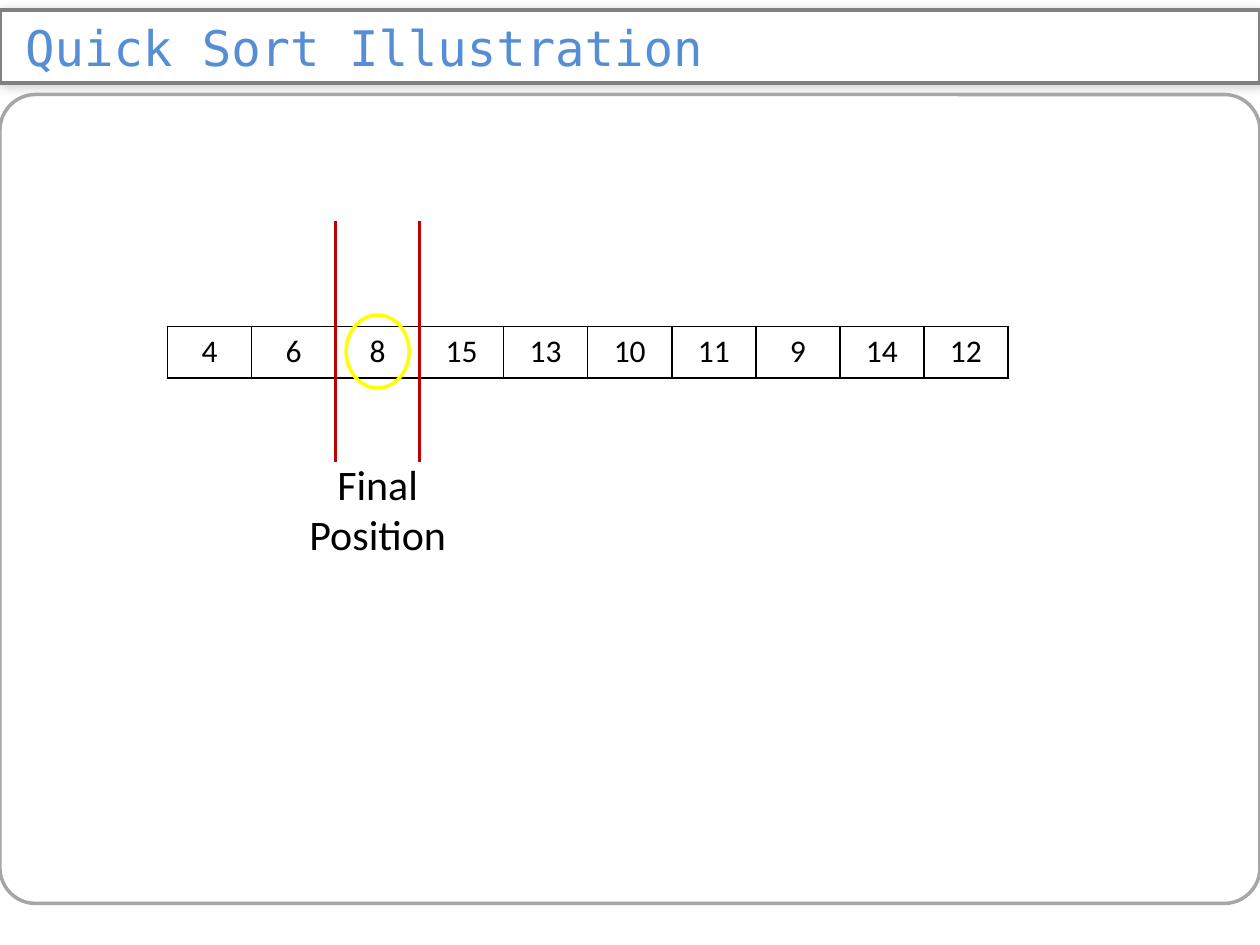
import pptx
import pptx.dml.color
import pptx.enum.shapes
import pptx.enum.text
import pptx.oxml
import pptx.oxml.ns
import pptx.util
from pptx.util import Inches

COLORS = {
    "white": "FFFFFF", "black": "000000", "title": "558ED5",
    "banner_line": "808080", "frame_line": "A6A6A6",
    "pivot": "FFFF00", "partition": "C00000",
}
VALUES = [4, 6, 8, 15, 13, 10, 11, 9, 14, 12]
PIVOT = VALUES.index(8)
ALIGN = pptx.enum.text.PP_ALIGN
ANCHOR = pptx.enum.text.MSO_ANCHOR
SHAPE = pptx.enum.shapes.MSO_SHAPE
NS = pptx.oxml.ns.nsdecls("a")


def rgb(name):
    return pptx.dml.color.RGBColor.from_string(COLORS[name])


def apply_format(target, values):
    for name, value in values.items():
        setattr(target, name, value)


def add_xml(parent, xml):
    parent.append(pptx.oxml.parse_xml(xml))


def style_line(item, color, width):
    item.line.color.rgb = rgb(color)
    item.line.width = pptx.util.Pt(width)


def style_text(paragraph, size, color="black", font="Calibri", align=ALIGN.CENTER):
    paragraph.alignment = align
    apply_format(paragraph.font, {"size": pptx.util.Pt(size), "name": font})
    paragraph.font.color.rgb = rgb(color)


def add_outline(slide, kind, box, color):
    outline = slide.shapes.add_shape(kind, *map(Inches, box))
    outline.shadow.inherit = False
    outline.fill.background()
    style_line(outline, color, 2)
    return outline


def place_title(slide, box):
    """Rounded title banner with a soft shadow."""
    title = slide.shapes.title
    apply_format(title, dict(zip(("left", "top", "width", "height"), map(Inches, box))))
    properties = title._element.spPr
    add_xml(properties, f'<a:prstGeom {NS} prst="roundRect"><a:avLst>'
                        '<a:gd name="adj" fmla="val 40900"/></a:avLst></a:prstGeom>')
    title.fill.solid()
    title.fill.fore_color.rgb = rgb("white")
    style_line(title, "banner_line", 2.5)
    add_xml(properties, f'<a:effectLst {NS}><a:outerShdw blurRad="76200" dist="12700" '
                        f'dir="2700000"><a:srgbClr val="{COLORS["black"]}">'
                        '<a:alpha val="20000"/></a:srgbClr></a:outerShdw></a:effectLst>')
    title.text_frame.text = "Quick Sort Illustration"
    apply_format(title.text_frame, {
        "margin_left": Inches(0.2), "margin_right": Inches(0.1),
        "margin_top": 0, "margin_bottom": 0, "word_wrap": True,
        "vertical_anchor": ANCHOR.MIDDLE,
        "auto_size": pptx.enum.text.MSO_AUTO_SIZE.NONE,
    })
    style_text(title.text_frame.paragraphs[0], 28, "title", "DejaVu Sans Mono", ALIGN.LEFT)


def place_array(slide, box):
    """One-row table holding the numbers being sorted."""
    table = slide.shapes.add_table(1, len(VALUES), *map(Inches, box)).table
    apply_format(table, {"first_row": False, "horz_banding": False})
    for column, value in enumerate(VALUES):
        cell = table.cell(0, column)
        cell.text = str(value)
        style_text(cell.text_frame.paragraphs[0], 18)
        for side in "LRTB":
            add_xml(cell._tc.get_or_add_tcPr(),
                    f'<a:ln{side} {NS} w="12700"><a:solidFill>'
                    f'<a:srgbClr val="{COLORS["black"]}"/></a:solidFill></a:ln{side}>')
        cell.fill.background()


def place_pivot(slide, box):
    """Ring, partition lines and label around the pivot's column."""
    left, top, width, height = box
    center = left + width / 2
    add_outline(slide, SHAPE.OVAL, (center - 0.25, top + 0.75, 0.5, 0.58), "pivot")

    for x in (left, left + width):
        partition = slide.shapes.add_connector(
            pptx.enum.shapes.MSO_CONNECTOR.STRAIGHT,
            *map(Inches, (x, top, x, top + height)))
        style_line(partition, "partition", 2)
        add_xml(partition._element.spPr, f"<a:effectLst {NS}/>")

    label = slide.shapes.add_textbox(
        *map(Inches, (center - 0.75, top + height - 0.08, 1.5, 0.91))).text_frame
    label.text = "Final Position"
    apply_format(label, {"word_wrap": True,
                         "auto_size": pptx.enum.text.MSO_AUTO_SIZE.SHAPE_TO_FIT_TEXT})
    style_text(label.paragraphs[0], 24)


def main():
    deck = pptx.Presentation()
    apply_format(deck, {"slide_width": Inches(10), "slide_height": Inches(7.5)})
    slide = deck.slides.add_slide(deck.slide_layouts[5])

    # Banner and content frame
    place_title(slide, (0, 0.08, 10, 0.58))
    frame = add_outline(slide, SHAPE.ROUNDED_RECTANGLE, (0, 0.75, 10, 6.42), "frame_line")
    frame.adjustments[0] = 0.044

    # Array with the pivot in its final place
    array_left, array_width = 1.33, 6.67
    cell_width = array_width / len(VALUES)
    place_array(slide, (array_left, 2.59, array_width, 0.41))
    place_pivot(slide, (array_left + PIVOT * cell_width, 1.75, cell_width, 1.92))

    deck.save("out.pptx")


if __name__ == "__main__":
    main()
